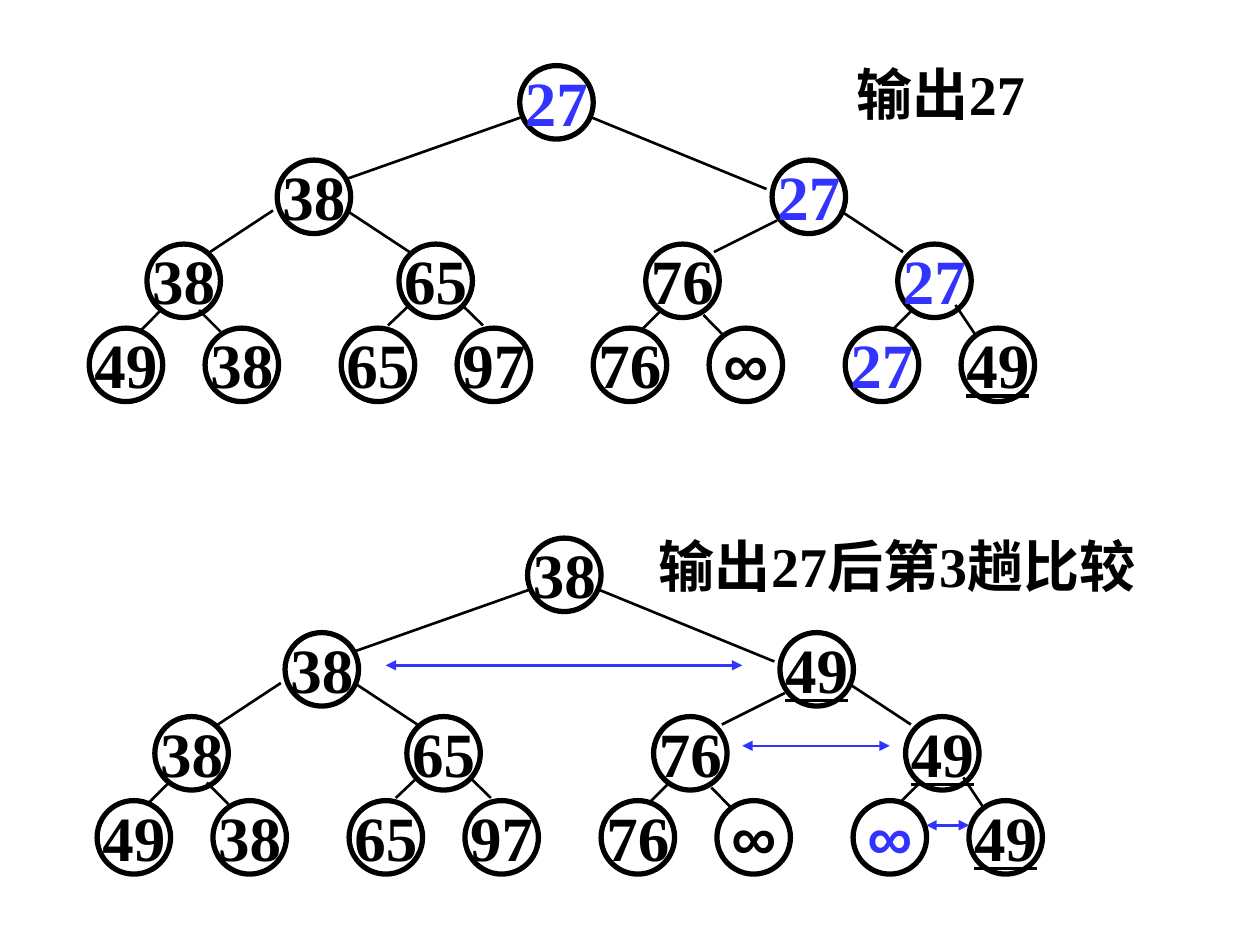
import pptx
import pptx.dml.color
import pptx.enum.shapes
import pptx.enum.text
import pptx.oxml.ns
import pptx.oxml.xmlchemy
import pptx.util

Pt = pptx.util.Pt
COLORS = {"ink": "000000", "accent": "3333FF"}
FONT, SYMBOL_FONT = "Times New Roman", "Arial"
DIAMETER = 42

LEAVES = [(144 * pair + 66.2 * side, 150) for pair in range(4) for side in range(2)]
NODES = (
    [(246, 0)]
    + [(107.4, 54), (390.2, 54)]
    + [(x, 102) for x in (33, 177, 318, 462)]
    + LEAVES
)
EDGES = [
    (249, 28.8, 147, 64.8), (285, 28.8, 387, 70.5),
    (105, 82.8, 69, 106.5), (147, 82.8, 183, 106.5),
    (393, 88.5, 357, 106.5), (429, 82.8, 465, 106.5),
    (41, 139.7, 28.8, 152), (62.7, 139.7, 75, 152),
    (183, 136.8, 170.7, 148.5), (213, 136.8, 225, 148.5),
    (327, 139.7, 314.7, 152), (351, 142.5, 363, 154.8),
    (471, 139, 458.7, 151.2), (495, 136.8, 507, 154.8),
]
COMPARISONS = [
    (473.8, 164.1, 498.3, 164.1),
    (368.7, 118.7, 452.9, 118.7),
    (164.9, 72.7, 368.7, 72.7),
]

OUTPUT_TREE = {
    "box": (51, 37.5),
    "labels": "27 38 27 38 65 76 27 49 38 65 97 76 ∞ 27 49".split(),
    "accented": {0, 2, 6, 13},
    "underlined": {14},
    "comparisons": [],
    "caption": ("输出27", (482.4, 30.2, 118, 46)),
}
THIRD_PASS_TREE = {
    "box": (55.5, 307.5),
    "labels": "38 38 49 38 65 76 49 49 38 65 97 76 ∞ ∞ 49".split(),
    "accented": {13},
    "underlined": {2, 6, 14},
    "comparisons": COMPARISONS,
    "caption": ("输出27后第3趟比较", (369.4, 300.2, 317.5, 46)),
}


def rgb(name):
    """Return the named palette colour."""
    return pptx.dml.color.RGBColor.from_string(COLORS[name])


def add_text(page, box, words, size, color="ink", font=FONT, underline=False):
    """Place one bold line of text in the box and return its shape."""
    shape = page.shapes.add_textbox(*map(Pt, box))
    frame = shape.text_frame
    frame.word_wrap = False
    frame.auto_size = pptx.enum.text.MSO_AUTO_SIZE.SHAPE_TO_FIT_TEXT
    span = frame.paragraphs[0].add_run()
    span.text = words
    span.font.name, span.font.size, span.font.bold = font, Pt(size), True
    span.font.color.rgb = rgb(color)
    if underline:
        span.font.underline = True
    return shape


def add_node(page, left, top, label, color, underline):
    """Draw a ring with its label centred in it."""
    ring = page.shapes.add_shape(
        pptx.enum.shapes.MSO_SHAPE.OVAL, Pt(left), Pt(top), Pt(DIAMETER), Pt(DIAMETER)
    )
    ring.shadow.inherit = False
    ring.fill.background()
    ring.line.color.rgb = rgb("ink")
    ring.line.width = Pt(3)
    infinite = label == "∞"
    width, rise = (27.4, 2) if infinite else (36, 1.2)
    box = (left + (DIAMETER - width) / 2, top - rise, width, 43.2)
    font = SYMBOL_FONT if infinite else FONT
    frame = add_text(page, box, label, 36, color, font, underline).text_frame
    frame.margin_left = frame.margin_right = frame.margin_top = frame.margin_bottom = 0
    frame.paragraphs[0].alignment = pptx.enum.text.PP_ALIGN.CENTER


def add_line(page, origin, ends, color="ink", arrows=False):
    """Draw a line relative to the origin, with arrows at both ends if asked."""
    left, top = origin
    x1, y1, x2, y2 = ends
    line = page.shapes.add_connector(
        pptx.enum.shapes.MSO_CONNECTOR.STRAIGHT,
        Pt(left + x1), Pt(top + y1), Pt(left + x2), Pt(top + y2),
    )
    line.line.color.rgb = rgb(color)
    line.line.width = Pt(1.5)
    properties = line._element.spPr
    properties.append(pptx.oxml.xmlchemy.OxmlElement("a:effectLst"))
    if arrows:
        outline = properties.find(pptx.oxml.ns.qn("a:ln"))
        for tag in ("a:headEnd", "a:tailEnd"):
            end = pptx.oxml.xmlchemy.OxmlElement(tag)
            end.set("type", "triangle")
            outline.append(end)


def add_tree(page, box, labels, accented, underlined, comparisons, caption):
    """Draw a four-level selection tree with its caption."""
    left, top = box
    for index, ((x, y), label) in enumerate(zip(NODES, labels)):
        color = "accent" if index in accented else "ink"
        add_node(page, left + x, top + y, label, color, index in underlined)
    for ends in EDGES:
        add_line(page, box, ends)
    for ends in comparisons:
        add_line(page, box, ends, "accent", arrows=True)
    words, caption_box = caption
    add_text(page, caption_box, words, 32)


def main():
    """Build and save the slide."""
    deck = pptx.Presentation()
    deck.slide_width, deck.slide_height = Pt(720), Pt(540)
    page = deck.slides.add_slide(deck.slide_layouts[6])
    for tree in (OUTPUT_TREE, THIRD_PASS_TREE):
        add_tree(page, **tree)
    deck.save("out.pptx")


if __name__ == "__main__":
    main()
